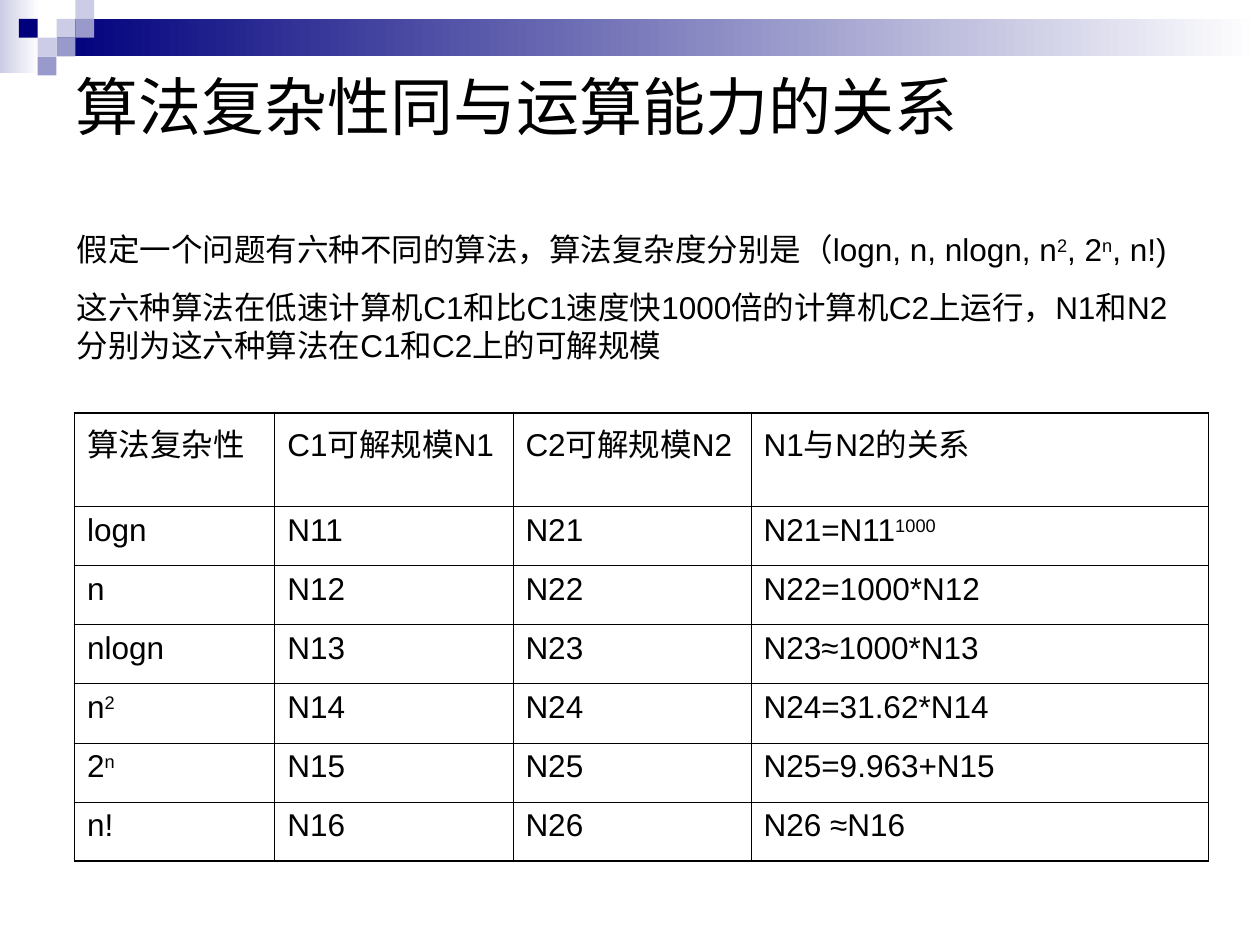
from dataclasses import dataclass

from lxml import etree
from pptx import Presentation
from pptx.dml.color import RGBColor
from pptx.enum.shapes import MSO_SHAPE
from pptx.enum.text import MSO_ANCHOR, MSO_AUTO_SIZE, PP_ALIGN
from pptx.oxml.ns import qn
from pptx.util import Cm, Pt

RECT = MSO_SHAPE.RECTANGLE
LEFT = PP_ALIGN.LEFT
MIDDLE = MSO_ANCHOR.MIDDLE
TOP = MSO_ANCHOR.TOP
NO_FIT = MSO_AUTO_SIZE.NONE
GROW = MSO_AUTO_SIZE.SHAPE_TO_FIT_TEXT
TITLE_ONLY = 5


@dataclass(frozen=True)
class Theme:
    font: str = "Arial"
    title_size: float = 36
    body_size: float = 18
    ink: str = "000000"
    white: str = "FFFFFF"
    navy: str = "00007D"
    mid: str = "9999CC"
    pale: str = "CCCCE6"
    outer_line: float = 1.08
    inner_line: float = 0.45


THEME = Theme()

TITLE = "算法复杂性同与运算能力的关系"
INTRO = [
    "假定一个问题有六种不同的算法，算法复杂度分别是（logn, n, nlogn, n^2^, 2^n^, n!)",
    "这六种算法在低速计算机C1和比C1速度快1000倍的计算机C2上运行，N1和N2分别为这六种算法在C1和C2上的可解规模",
]
HEADER = ["算法复杂性", "C1可解规模N1", "C2可解规模N2", "N1与N2的关系"]
RELATIONS = [
    ("logn", "N21=N11^1000^"),
    ("n", "N22=1000*N12"),
    ("nlogn", "N23≈1000*N13"),
    ("n^2^", "N24=31.62*N14"),
    ("2^n^", "N25=9.963+N15"),
    ("n!", "N26 ≈N16"),
]
COL_WIDTHS = [4.04, 4.8, 4.8, 9.22]
HEADER_HEIGHT, ROW_HEIGHT = 1.78, 1.19

SQUARE = 0.38
SQUARES = [
    (3, 1, THEME.pale), (4, 0, THEME.pale), (4, 1, THEME.mid),
    (2, 2, THEME.pale), (1, 1, THEME.navy), (3, 2, THEME.mid),
    (2, 3, THEME.mid),
]


def set_attrs(obj, values):
    for name, value in values.items():
        setattr(obj, name, value)


def write(p, text, size, space_before=0):
    set_attrs(p, {"alignment": LEFT, "space_before": Pt(space_before)})
    for i, part in enumerate(text.split("^")):
        if not part:
            continue
        r = p.add_run()
        r.text = part
        set_attrs(r.font, {"name": THEME.font, "size": Pt(size), "bold": False})
        r.font.color.rgb = RGBColor.from_string(THEME.ink)
        if i % 2:
            r._r.get_or_add_rPr().set("baseline", "30000")


def add_rect(s, x, y, w, h, *colors):
    sp = s.shapes.add_shape(RECT, Cm(x), Cm(y), Cm(w), Cm(h))
    sp.shadow.inherit = False
    sp.line.fill.background()
    if len(colors) == 1:
        sp.fill.solid()
        sp.fill.fore_color.rgb = RGBColor.from_string(colors[0])
        return
    sp.fill.gradient()
    sp.fill.gradient_angle = 0
    for stop, color in zip(sp.fill.gradient_stops, colors):
        stop.color.rgb = RGBColor.from_string(color)


def add_banner(s, x, y, w):
    add_rect(s, x, y, 0.79, 1.47, THEME.pale, THEME.white)
    bar = 3 * SQUARE
    add_rect(s, x + bar, y + SQUARE, w - bar, 2 * SQUARE, THEME.navy, THEME.white)
    for col, row, color in SQUARES:
        add_rect(s, x + col * SQUARE, y + row * SQUARE, SQUARE, SQUARE, color)


def place_title(s, x, y, w, h):
    title = s.shapes.title
    title.element.getparent().append(title.element)
    set_attrs(title, {"left": Cm(x), "top": Cm(y), "width": Cm(w), "height": Cm(h)})
    tf = title.text_frame
    set_attrs(tf, {"word_wrap": True, "vertical_anchor": MIDDLE, "auto_size": NO_FIT})
    write(tf.paragraphs[0], TITLE, THEME.title_size)


def add_intro(s, x, y, w, h):
    tf = s.shapes.add_textbox(Cm(x), Cm(y), Cm(w), Cm(h)).text_frame
    set_attrs(tf, {"word_wrap": True, "vertical_anchor": TOP, "auto_size": GROW})
    for i, text in enumerate(INTRO):
        p = tf.add_paragraph() if i else tf.paragraphs[0]
        write(p, text, THEME.body_size, 11.2)


def set_borders(cell, outer_sides):
    tcPr = cell._tc.get_or_add_tcPr()
    for i, (side, outer) in enumerate(outer_sides.items()):
        width = THEME.outer_line if outer else THEME.inner_line
        ln = etree.Element(qn(f"a:ln{side}"), w=str(Pt(width)))
        fill = etree.SubElement(ln, qn("a:solidFill"))
        etree.SubElement(fill, qn("a:srgbClr"), val=THEME.ink)
        tcPr.insert(i, ln)


def add_relation_table(s, x, y):
    rows = [HEADER] + [
        [name, f"N1{i}", f"N2{i}", relation]
        for i, (name, relation) in enumerate(RELATIONS, 1)
    ]
    heights = [HEADER_HEIGHT] + [ROW_HEIGHT] * len(RELATIONS)
    table = s.shapes.add_table(
        len(rows), len(HEADER), Cm(x), Cm(y), Cm(sum(COL_WIDTHS)), Cm(sum(heights))
    ).table
    set_attrs(table, {"first_row": False, "horz_banding": False})
    for column, width in zip(table.columns, COL_WIDTHS):
        column.width = Cm(width)
    for i, (texts, height) in enumerate(zip(rows, heights)):
        table.rows[i].height = Cm(height)
        for j, text in enumerate(texts):
            cell = table.cell(i, j)
            cell.fill.background()
            write(cell.text_frame.paragraphs[0], text, THEME.body_size, 4.5)
            set_borders(cell, {
                "L": j == 0, "R": j == len(HEADER) - 1,
                "T": i == 0, "B": i == len(rows) - 1,
            })


def main():
    prs = Presentation()
    set_attrs(prs, {"slide_width": Cm(25.4), "slide_height": Cm(19.05)})
    s = prs.slides.add_slide(prs.slide_layouts[TITLE_ONLY])
    add_banner(s, 0, 0, 25.4)
    place_title(s, 1.27, 0.33, 20.95, 3.6)
    add_relation_table(s, 1.5, 8.33)
    add_intro(s, 1.3, 4.52, 22.8, 2.95)
    prs.save("out.pptx")


if __name__ == "__main__":
    main()
